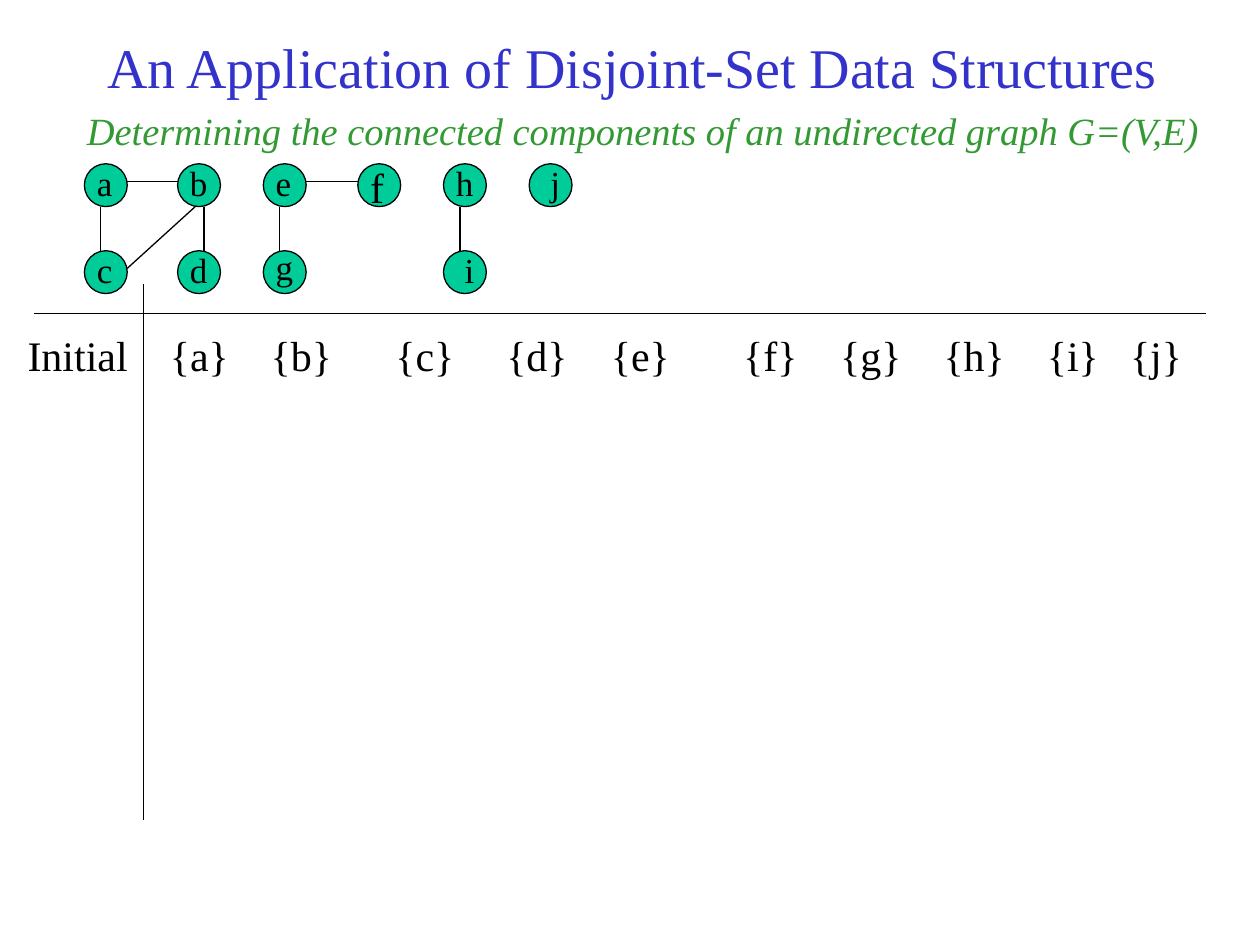
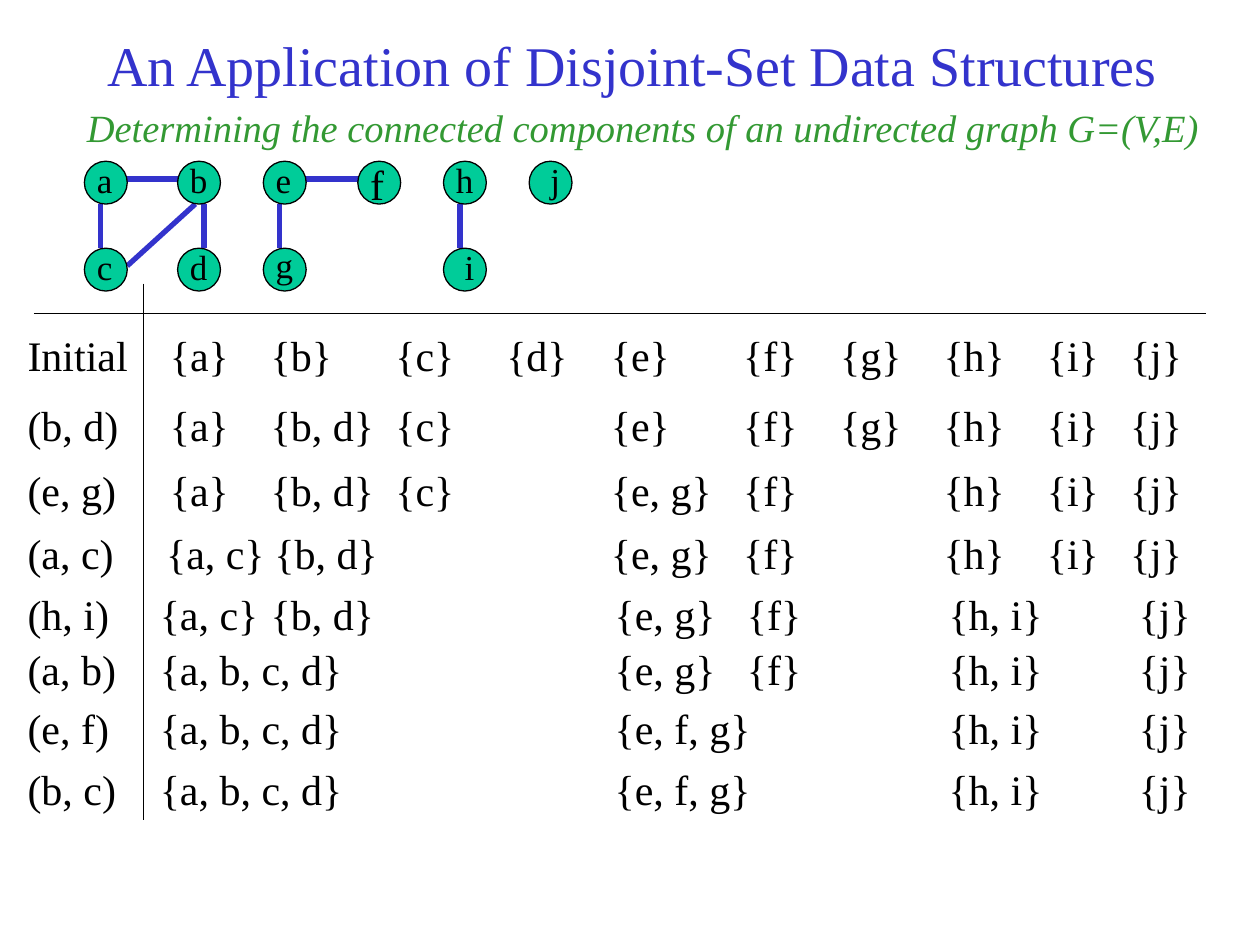
from lxml.etree import SubElement
from pptx import Presentation
from pptx.dml.color import RGBColor
from pptx.enum.shapes import MSO_CONNECTOR as CONN, MSO_SHAPE as SHAPE
from pptx.enum.text import MSO_ANCHOR as ANCHOR, MSO_AUTO_SIZE as AUTO, PP_ALIGN as ALIGN
from pptx.oxml.ns import qn
from pptx.util import Inches, Pt

FONT = "Times New Roman"
COLORS = {"title": "3333CC", "subtitle": "339933", "node": "00CC99",
          "ink": "000000", "edge": "3333CC"}

TITLE = "An Application of Disjoint-Set Data Structures"
SUBTITLE = "Determining the connected components of an undirected graph G=(V,E)"

# Graph: top-left corner of each node, and the label's nudge and size
TOP, LOW, SIZE = 1.3, 1.99, 0.34
NODES = {"a": (0.67, TOP), "b": (1.41, TOP), "c": (0.67, LOW), "d": (1.41, LOW),
         "e": (2.09, TOP), "f": (2.84, TOP), "g": (2.09, LOW),
         "h": (3.52, TOP), "i": (3.52, LOW), "j": (4.2, TOP)}
NUDGE = {"g": (0, -0.02), "i": (0.07, 0), "j": (0.07, 0)}
LABEL_SIZE = {"f": 24}

# Where an edge meets a node, measured from the node's corner
RIGHT, LEFT = (SIZE, 0.14), (0, 0.14)
BELOW, ABOVE = (0.13, SIZE), (0.13, 0)
BELOW_RIGHT, ABOVE_RIGHT = (0.21, SIZE), (0.21, 0)
EDGES = [("a", RIGHT, "b", LEFT), ("a", BELOW, "c", ABOVE),
         ("b", BELOW_RIGHT, "d", ABOVE_RIGHT), ("c", RIGHT, "b", (0.14, SIZE)),
         ("e", RIGHT, "f", LEFT), ("e", BELOW, "g", ABOVE), ("h", BELOW, "i", ABOVE)]

# Each set starts at the column of its first member
SINGLES = {"a": 1.35, "b": 2.15, "c": 3.14, "d": 4.02, "e": 4.85,
           "f": 5.9, "g": 6.67, "h": 7.49, "i": 8.31, "j": 8.97}
PAIRS = {**SINGLES, "a": 1.32, "b": 2.18}
MERGED = {**SINGLES, "a": 1.27, "e": 4.88, "f": 5.93, "h": 7.53, "j": 9.04}
STEPS = [
    (2.57, SINGLES, "Initial",
     ["{a}", "{b}", "{c}", "{d}", "{e}", "{f}", "{g}", "{h}", "{i}", "{j}"]),
    (3.12, SINGLES, "(b, d)",
     ["{a}", "{b, d}", "{c}", "{e}", "{f}", "{g}", "{h}", "{i}", "{j}"]),
    (3.64, SINGLES, "(e, g)",
     ["{a}", "{b, d}", "{c}", "{e, g}", "{f}", "{h}", "{i}", "{j}"]),
    (4.14, PAIRS, "(a, c)",
     ["{a, c}", "{b, d}", "{e, g}", "{f}", "{h}", "{i}", "{j}"]),
    (4.62, MERGED, "(h, i)", ["{a, c}", "{b, d}", "{e, g}", "{f}", "{h, i}", "{j}"]),
    (5.06, MERGED, "(a, b)", ["{a, b, c, d}", "{e, g}", "{f}", "{h, i}", "{j}"]),
    (5.53, MERGED, "(e, f)", ["{a, b, c, d}", "{e, f, g}", "{h, i}", "{j}"]),
    (6.01, MERGED, "(b, c)", ["{a, b, c, d}", "{e, f, g}", "{h, i}", "{j}"]),
]
ROW_LEFT, ROW_W, ROW_H, INSET = 0.12, 9.45, 0.5, 0.1

# Per slide: number of steps shown, shift of heading and graph, edge colour and width
SLIDES = [(1, 0, "ink", 0.75), (len(STEPS), -0.02, "edge", 3)]


def rgb(name):
    return RGBColor.from_string(COLORS[name])


def write(p, text, size, color="ink", italic=None):
    r = p.add_run()
    r.text = text
    r.font.name, r.font.size, r.font.italic = FONT, Pt(size), italic
    r.font.color.rgb = rgb(color)


def add_line(slide, x1, y1, x2, y2, color="ink", width=0.75):
    ln = slide.shapes.add_connector(CONN.STRAIGHT, *map(Inches, (x1, y1, x2, y2)))
    ln.line.color.rgb, ln.line.width = rgb(color), Pt(width)
    SubElement(ln._element.spPr, qn("a:effectLst"))


def add_box(slide, x, y, w, h):
    tf = slide.shapes.add_textbox(*map(Inches, (x, y, w, h))).text_frame
    tf.word_wrap = True
    return tf


def fill_heading(sp, box, text, size, color, italic=None):
    """Place a title or body placeholder as one plain left-aligned line."""
    sp.left, sp.top, sp.width, sp.height = map(Inches, box)
    tf = sp.text_frame
    tf.auto_size, tf.word_wrap, tf.vertical_anchor = AUTO.NONE, True, ANCHOR.MIDDLE
    p = tf.paragraphs[0]
    p.alignment, p.space_before = ALIGN.LEFT, Pt(0)
    pPr = p._p.get_or_add_pPr()
    pPr.set("marL", "0")
    pPr.set("indent", "0")
    SubElement(pPr, qn("a:buNone"))
    write(p, text, size, color, italic)


def add_graph(slide, shift, color, width):
    for start, (sx, sy), end, (ex, ey) in EDGES:
        (x1, y1), (x2, y2) = NODES[start], NODES[end]
        add_line(slide, x1 + sx, y1 + sy + shift, x2 + ex, y2 + ey + shift, color, width)
    for name, (x, y) in NODES.items():
        y += shift
        sp = slide.shapes.add_shape(SHAPE.OVAL, *map(Inches, (x, y, SIZE, SIZE)))
        sp.shadow.inherit = False
        sp.fill.solid()
        sp.fill.fore_color.rgb = rgb("node")
        sp.line.color.rgb, sp.line.width = rgb("ink"), Pt(0.75)
        dx, dy = NUDGE.get(name, (0, 0))
        tf = add_box(slide, x + dx, y - 0.07 + dy, SIZE, 0.43)
        tf.margin_right = 0
        write(tf.paragraphs[0], name, LABEL_SIZE.get(name, 20))


def add_step(slide, top, columns, label, sets):
    """Write one row, each set on a tab stop at its column."""
    p = add_box(slide, ROW_LEFT, top, ROW_W, ROW_H).paragraphs[0]
    tabs = SubElement(p._p.get_or_add_pPr(), qn("a:tabLst"))
    for s in sets:
        pos = Inches(columns[s[1]] - ROW_LEFT - INSET)
        SubElement(tabs, qn("a:tab"), pos=str(pos), algn="l")
    write(p, "\t".join([label, *sets]), 24)


def main():
    prs = Presentation()
    prs.slide_width, prs.slide_height = Inches(10), Inches(7.5)
    for count, shift, color, width in SLIDES:
        slide = prs.slides.add_slide(prs.slide_layouts[1])
        title, body = slide.placeholders
        fill_heading(title, (0.75, 0.36 + shift, 8.74, 0.33), TITLE, 32, "title")
        fill_heading(body, (0.59, 0.91 + shift, 9.14, 0.24), SUBTITLE, 22, "subtitle", True)
        add_graph(slide, shift, color, width)
        add_line(slide, 0.27, 2.49, 9.57, 2.49)
        add_line(slide, 1.14, 2.25, 1.14, 6.51)
        for step in STEPS[:count]:
            add_step(slide, *step)
    prs.save("out.pptx")


if __name__ == "__main__":
    main()
